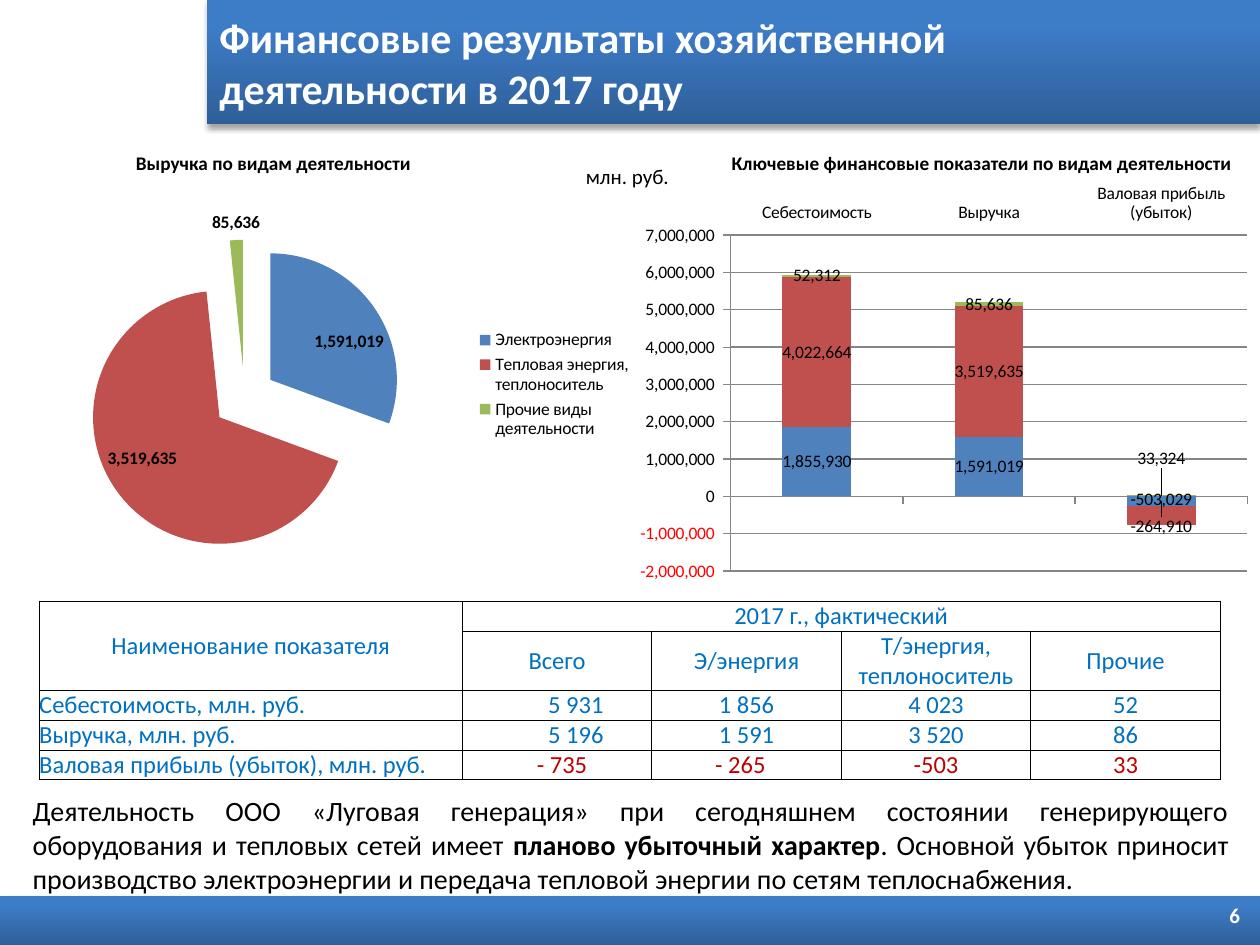
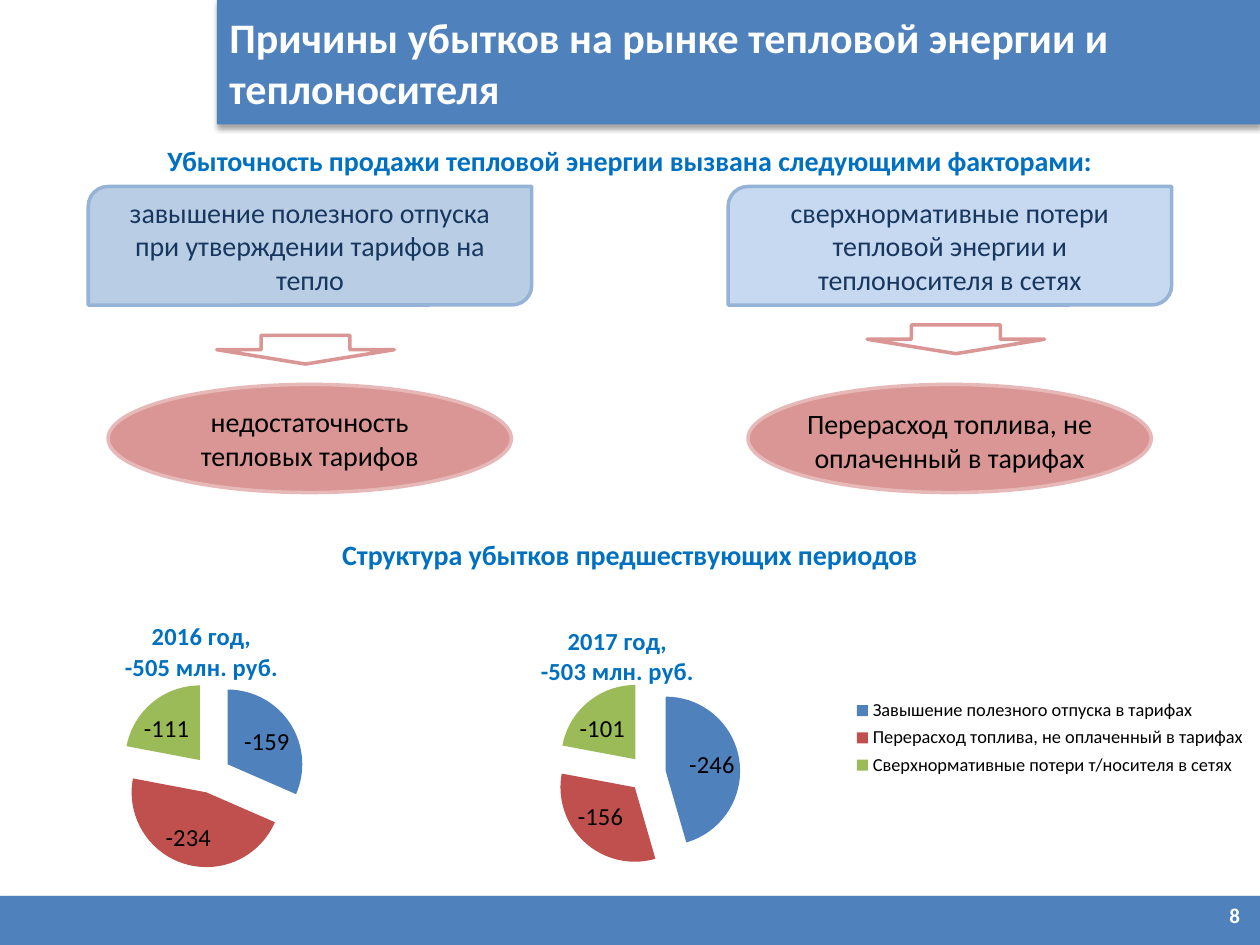
from pptx import Presentation
from pptx import oxml
from pptx import util as u
from pptx.chart.data import CategoryChartData
from pptx.dml.color import RGBColor
from pptx.enum import chart as ch, shapes, text

WIDTH, HEIGHT = 25.4, 19.05
FONT = "Calibri"
WHITE, BLACK, BLUE, RED = "FFFFFF", "000000", "0070C0", "C00000"
BAND, BAND_DARK, BAND_LIGHT = "4F81BD", "2F5F99", "3D7CC7"
NAVY, BOX_LINE, ROSE, ROSE_LINE, GRID = "17375E", "95B3D7", "D99694", "E6B9B8", "868686"
SERIES = ["4F81BD", "C0504D", "9BBB59"]
THOUSANDS = "#,##0"
AXIS_FORMAT = r"#,##0_ ;[Red]\-#,##0\ "
LEFT, CENTER, RIGHT, JUSTIFY = (text.PP_ALIGN.LEFT, text.PP_ALIGN.CENTER,
                                text.PP_ALIGN.RIGHT, text.PP_ALIGN.JUSTIFY)
MIDDLE = text.MSO_ANCHOR.MIDDLE
SHAPE = shapes.MSO_SHAPE


def rgb(color):
    return RGBColor.from_string(color)


def box(left, top, width, height):
    return u.Cm(left), u.Cm(top), u.Cm(width), u.Cm(height)


def xml(prefix, tag, content=""):
    return oxml.parse_xml(f"<{prefix}:{tag.split()[0]} {oxml.ns.nsdecls(prefix)} "
                          f"{tag.partition(' ')[2]}>{content}</{prefix}:{tag.split()[0]}>")


def style_font(font, size, color=BLACK, bold=False):
    font.name, font.size, font.bold = FONT, u.Pt(size), bold
    font.color.rgb = rgb(color)


def write(tf, lines, size, color=BLACK, bold=False, align=LEFT, anchor=None):
    tf.word_wrap = True
    if anchor is not None:
        tf.vertical_anchor = anchor
    for i, line in enumerate(lines):
        p = tf.add_paragraph() if i else tf.paragraphs[0]
        p.alignment = align
        for part, strong in [(line, bold)] if isinstance(line, str) else line:
            r = p.add_run()
            r.text = part
            style_font(r.font, size, color, strong)


def add_text(s, place, lines, size, **style):
    tf = s.shapes.add_textbox(*box(*place)).text_frame
    write(tf, lines, size, **style)
    return tf


def add_shape(s, kind, place, fill=None, line=None):
    sp = s.shapes.add_shape(kind, *box(*place))
    sp.shadow.inherit = False
    if fill:
        sp.fill.solid()
        sp.fill.fore_color.rgb = rgb(fill)
    else:
        sp.fill.background()
    if line:
        sp.line.color.rgb = rgb(line)
        sp.line.width = u.Pt(2)
    else:
        sp.line.fill.background()
    return sp


def style_band(sp, gradient):
    if gradient:
        sp.fill.gradient()
        sp.fill.gradient_angle = 90
        for stop, color, position in zip(sp.fill.gradient_stops, (BAND_DARK, BAND_LIGHT), (0, 0.8)):
            stop.color.rgb = rgb(color)
            stop.position = position
    else:
        sp.fill.solid()
        sp.fill.fore_color.rgb = rgb(BAND)
    sp.line.fill.background()
    sp.shadow.inherit = False
    sp.element.spPr.find(oxml.ns.qn("a:effectLst")).append(xml(
        "a", 'outerShdw blurRad="40000" dist="23000" dir="5400000" rotWithShape="0"',
        '<a:srgbClr val="000000"><a:alpha val="35000"/></a:srgbClr>'))


def add_title(s, left, lines, gradient):
    sp = s.shapes.title
    sp.left, sp.top, sp.width, sp.height = box(left, 0, WIDTH - left, 2.51)
    style_band(sp, gradient)
    sp.text_frame.auto_size = text.MSO_AUTO_SIZE.NONE
    write(sp.text_frame, lines, 24, WHITE, True, anchor=MIDDLE)


def add_footer(s, number, gradient):
    style_band(add_shape(s, SHAPE.RECTANGLE, (0, 18.06, WIDTH, 0.99)), gradient)
    add_text(s, (23.83, 17.86, 1.42, 1.19), [number], 12,
             color=WHITE, bold=True, align=RIGHT, anchor=MIDDLE)


def set_layout(parent, index, x, y, size=None):
    for old in parent.xpath("c:layout"):
        parent.remove(old)
    target = '<c:layoutTarget val="inner"/>' if size else ""
    modes = "" if parent.tag.endswith("dLbl") else '<c:xMode val="edge"/><c:yMode val="edge"/>'
    extent = '<c:w val="{}"/><c:h val="{}"/>'.format(*size) if size else ""
    parent.insert(index, xml("c", "layout", f'<c:manualLayout>{target}{modes}<c:x val="{x}"/>'
                                            f'<c:y val="{y}"/>{extent}</c:manualLayout>'))


def add_chart(s, kind, place, cats, rows, font_size, number_format):
    data = CategoryChartData(number_format=number_format)
    data.categories = cats
    for i, values in enumerate(rows, 1):
        data.add_series(f"Series {i}", values)
    chart = s.shapes.add_chart(kind, *box(*place), data).chart
    style_font(chart.font, font_size)
    chart.has_title = chart.has_legend = False
    return chart


def show_values(labels, size, number_format, bold=False):
    labels.show_value = True
    labels.number_format, labels.number_format_is_linked = number_format, False
    style_font(labels.font, size, bold=bold)


def add_pie(s, place, cats, values, label_size, number_format="0", bold=False, legend_size=None):
    chart = add_chart(s, ch.XL_CHART_TYPE.PIE, place, cats, [values], 10, number_format)
    plot = chart.plots[0]
    plot.vary_by_categories = True
    for i, color in enumerate(SERIES):
        fill = plot.series[0].points[i].format.fill
        fill.solid()
        fill.fore_color.rgb = rgb(color)
    chart.element.xpath(".//c:dPt")[0].addprevious(xml("c", 'explosion val="25"'))
    show_values(plot.series[0].data_labels, label_size, number_format, bold)
    if legend_size:
        chart.has_legend = True
        chart.legend.position = ch.XL_LEGEND_POSITION.RIGHT
        chart.legend.include_in_layout = False
        style_font(chart.legend.font, legend_size)
    return chart


def add_pie_title(chart, lines, title_at, plot_at, plot_size):
    chart.has_title = True
    write(chart.chart_title.text_frame, lines, 14, BLUE, True, CENTER)
    set_layout(chart.element.xpath(".//c:title")[0], 1, *title_at)
    set_layout(chart.element.xpath(".//c:plotArea")[0], 0, *plot_at, plot_size)


def add_stacked_columns(s, place, cats, rows, loss_label_shifts):
    chart = add_chart(s, ch.XL_CHART_TYPE.COLUMN_STACKED, place, cats, rows, 10, THOUSANDS)
    plot = chart.plots[0]
    plot.overlap, plot.gap_width = 100, 150
    plot.vary_by_categories = False
    for series, color, shift in zip(plot.series, SERIES, loss_label_shifts):
        series.invert_if_negative = False
        series.format.fill.solid()
        series.format.fill.fore_color.rgb = rgb(color)
        show_values(series.data_labels, 10, THOUSANDS)
        style_font(series.points[len(cats) - 1].data_label.font, 10)
        set_layout(series.data_labels._element.xpath("c:dLbl")[0], 1, 0, shift)
    values, names = chart.value_axis, chart.category_axis
    values.minimum_scale, values.maximum_scale, values.major_unit = -2000000, 7000000, 1000000
    values.tick_labels.number_format = AXIS_FORMAT
    values.tick_labels.number_format_is_linked = False
    names.tick_label_position = ch.XL_TICK_LABEL_POSITION.HIGH
    for line in (values.format.line, names.format.line, values.major_gridlines.format.line):
        line.color.rgb = rgb(GRID)
        line.width = u.Pt(0.75)
    set_layout(chart.element.xpath(".//c:plotArea")[0], 0, 0.16, 0.145, (0.82, 0.81))


def style_cell(cell, value, color=BLUE, align=CENTER, indents=(0, 0)):
    cell.margin_left, cell.margin_right = map(u.Cm, indents)
    cell.margin_top = cell.margin_bottom = 0
    cell.vertical_anchor = MIDDLE
    write(cell.text_frame, [value], 14, color, align=align)
    tcPr = cell._tc.get_or_add_tcPr()
    for side in "LRTB":
        tcPr.append(xml("a", f'ln{side} w="6350"',
                        f'<a:solidFill><a:srgbClr val="{BLACK}"/></a:solidFill>'))
    cell.fill.background()


def add_results_table(s, place, rows, widths, heights):
    table = s.shapes.add_table(len(rows), len(widths), *box(*place)).table
    table.first_row = table.horz_banding = False
    for col, width in zip(table.columns, widths):
        col.width = u.Cm(width)
    for row, height in zip(table.rows, heights):
        row.height = u.Cm(height)
    indents = {(2, 1): (0.76, 0), (3, 1): (0.76, 0), (4, 1): (0.2, 0), (4, 2): (0, 0.25)}
    last = len(rows) - 1
    for i, row in enumerate(rows):
        for j, value in enumerate(row):
            style_cell(table.cell(i, j), value, RED if i == last and j else BLUE,
                       JUSTIFY if i > 1 and j == 0 else CENTER, indents.get((i, j), (0, 0)))
    table.cell(0, 0).merge(table.cell(1, 0))
    table.cell(0, 1).merge(table.cell(0, len(widths) - 1))


def add_cause(s, left, arrow_at, fill, cause, effect):
    sp = add_shape(s, SHAPE.ROUND_2_DIAG_RECTANGLE, (left, 3.76, 8.94, 2.39), fill, BOX_LINE)
    write(sp.text_frame, cause, 16, NAVY, align=CENTER, anchor=MIDDLE)
    add_shape(s, SHAPE.DOWN_ARROW, (*arrow_at, 3.58, 0.58), line=ROSE)
    sp = add_shape(s, SHAPE.OVAL, (left + 0.4, 7.75, 8.13, 2.18), ROSE, ROSE_LINE)
    write(sp.text_frame, [effect], 16, align=CENTER, anchor=MIDDLE)
    return sp.text_frame


def results_slide(prs):
    s = prs.slides.add_slide(prs.slide_layouts[5])
    add_title(s, 4.17, ["Финансовые результаты хозяйственной", "деятельности в 2017 году"], True)
    add_footer(s, "6", True)
    add_results_table(s, (0.79, 12.12, 23.81, 3.6), [
        ["Наименование показателя", "2017 г., фактический", "", "", ""],
        ["", "Всего", "Э/энергия", "Т/энергия, теплоноситель", "Прочие"],
        ["Себестоимость, млн. руб.", "5 931", "1 856", "4 023", "52"],
        ["Выручка, млн. руб.", "5 196", "1 591", "3 520", "86"],
        ["Валовая прибыль (убыток), млн. руб.", "- 735", "- 265", "-503", "33"],
    ], [8.53] + [3.82] * 4, [0.6, 1.2, 0.6, 0.6, 0.6])
    add_text(s, (11.56, 3.18, 2.21, 0.76), ["млн. руб."], 12)
    add_text(s, (2.49, 2.92, 6.4, 0.74), ["Выручка по видам деятельности"], 11, bold=True)
    add_text(s, (0.41, 15.88, 24.61, 2.31), [[
        ("Деятельность ООО «Луговая генерация» при сегодняшнем состоянии генерирующего "
         "оборудования и тепловых сетей имеет ", False),
        ("планово убыточный характер", True),
        (". Основной убыток приносит производство электроэнергии и передача тепловой энергии "
         "по сетям теплоснабжения.", False)]], 16, align=JUSTIFY)
    add_pie(s, (0.3, 3.94, 12.7, 7.62),
            ["Электроэнергия", "Тепловая энергия, теплоноситель", "Прочие виды деятельности"],
            [1591019, 3519635, 85636], 10, THOUSANDS, bold=True, legend_size=10)
    add_stacked_columns(s, (12.7, 3.53, 12.7, 8.36),
                        ["Себестоимость", "Выручка", "Валовая прибыль (убыток)"],
                        [[1855930, 1591019, -264910], [4022664, 3519635, -503029],
                         [52312, 85636, 33324]], [0.06, -0.04, -0.09])
    add_text(s, (14.5, 2.92, 10.9, 0.74),
             ["Ключевые финансовые показатели по видам деятельности"], 11, bold=True)


def causes_slide(prs):
    s = prs.slides.add_slide(prs.slide_layouts[5])
    add_title(s, 4.37, ["Причины убытков на рынке тепловой энергии и теплоносителя"], False)
    pie_2016 = add_pie(s, (-2.77, 11.51, 28.17, 6.73),
                       ["Завышение полезного отпуска в тарифах",
                        "Перерасход топлива, не оплаченный в тарифах",
                        "Сверхнормативные потери т/носителя в сетях"],
                       [-159, -234, -111], 14, legend_size=10.5)
    add_pie_title(pie_2016, ["2016 год,", "-505 млн. руб."], (0.185, 0.135), (0, 0.33), (0.5, 0.56))
    add_footer(s, "8", False)
    for top, heading in ((2.77, "Убыточность продажи тепловой энергии вызвана следующими факторами:"),
                         (10.72, "Структура убытков предшествующих периодов")):
        add_text(s, (0, top, WIDTH, 0.94), [heading], 16, color=BLUE, bold=True, align=CENTER)
    add_cause(s, 1.78, (4.37, 6.76), "B9CDE5",
              ["завышение полезного отпуска", "при утверждении тарифов на тепло"],
              "недостаточность тепловых тарифов")
    tf = add_cause(s, 14.68, (17.48, 6.55), "C6D9F1",
                   ["сверхнормативные потери тепловой энергии и теплоносителя в сетях"],
                   "Перерасход топлива, не оплаченный в тарифах")
    tf.margin_left = tf.margin_right = 0
    tf.margin_top = u.Cm(0.2)
    pie_2017 = add_pie(s, (6.93, 11.91, 11.13, 6.25), ["1", "2", "3"], [-250, -178, -121], 14)
    add_pie_title(pie_2017, ["2017 год,", "-503 млн. руб."], (0.35, 0.095), (0.1, 0.29), (0.9, 0.6))
    for i, label in enumerate(["-246", "-156", "-101"]):
        write(pie_2017.plots[0].series[0].points[i].data_label.text_frame, [label], 14)


def main():
    prs = Presentation()
    prs.slide_width, prs.slide_height = u.Cm(WIDTH), u.Cm(HEIGHT)
    results_slide(prs)
    causes_slide(prs)
    prs.save("out.pptx")


if __name__ == "__main__":
    main()
